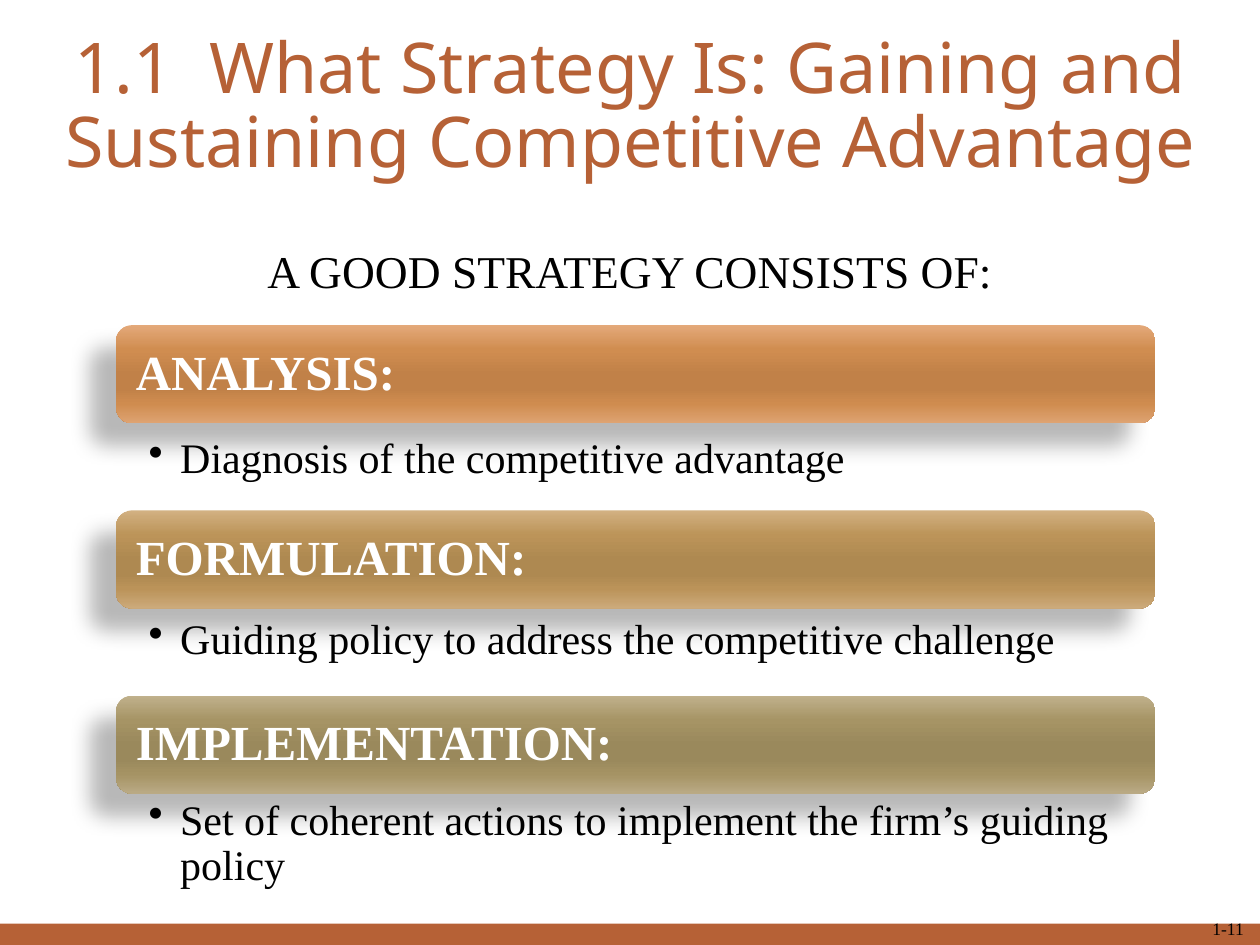
from dataclasses import dataclass

from lxml import etree
from pptx import Presentation
from pptx import util as u
from pptx.dml import color
from pptx.enum import shapes, text
from pptx.oxml import ns


@dataclass(frozen=True)
class Theme:
    accent: str = "B66136"
    ink: str = "000000"
    light: str = "FFFFFF"
    title_font: str = "Noto Sans"
    body_font: str = "Times New Roman"
    title: int = 40
    heading: int = 28
    lead: int = 26
    body: int = 24
    number: int = 10


T = Theme()
STOPS = (0, 25, 50, 65, 80, 100)
LEFT, WIDTH = 0.92, 8.25
SECTIONS = (
    ("ANALYSIS:", "Diagnosis of the competitive advantage",
     ("E4A97A", "D08D50", "C18148", "C18148", "CF8C4F", "DEA372")),
    ("FORMULATION:", "Guiding policy to address the competitive challenge",
     ("D2B182", "BC9459", "AE8951", "AE8951", "BB9359", "CCAA7B")),
    ("IMPLEMENTATION:", "Set of coherent actions to implement the firm’s guiding policy",
     ("C0B18C", "A69465", "9A895C", "9A895C", "A59364", "BAAA85")),
)


def rgb(value):
    return color.RGBColor.from_string(value)


def add_xml(parent, tag, **attrs):
    return etree.SubElement(parent, ns.qn(tag), {k: str(v) for k, v in attrs.items()})


def write(sp, content, size, font=T.body_font, ink=T.ink, bold=False,
          align=text.PP_ALIGN.LEFT, anchor=text.MSO_ANCHOR.TOP,
          spacing=1.0, insets=(0.1, 0.05, 0.1, 0.05)):
    tf = sp.text_frame
    tf.word_wrap = True
    tf.auto_size = text.MSO_AUTO_SIZE.NONE
    tf.vertical_anchor = anchor
    tf.margin_left, tf.margin_top, tf.margin_right, tf.margin_bottom = map(u.Inches, insets)
    p = tf.paragraphs[0]
    p.alignment, p.line_spacing = align, spacing
    r = p.add_run()
    r.text = content
    r.font.size, r.font.name, r.font.bold = u.Pt(size), font, bold
    r.font.color.rgb = rgb(ink)
    return p


def add_text(s, box, content, size, **fmt):
    return write(s.shapes.add_textbox(*map(u.Inches, box)), content, size, **fmt)


def add_bar(s, kind, box):
    sp = s.shapes.add_shape(kind, *map(u.Inches, box))
    sp.shadow.inherit = False
    sp.line.fill.background()
    return sp


def set_gradient(sp, colors):
    sp.fill.gradient()
    sp.fill.gradient_angle = 270
    stops = sp.element.spPr.find(".//" + ns.qn("a:gsLst"))
    for old in list(stops):
        stops.remove(old)
    for position, value in zip(STOPS, colors):
        add_xml(add_xml(stops, "a:gs", pos=position * 1000), "a:srgbClr", val=value)


def set_shadow(sp, alpha, blur, distance, angle):
    effects = sp.element.spPr.find(ns.qn("a:effectLst"))
    shadow = add_xml(effects, "a:outerShdw", blurRad=u.Pt(blur), dist=u.Pt(distance),
                     dir=angle * 60000, algn="ctr", rotWithShape=0)
    add_xml(add_xml(shadow, "a:srgbClr", val=T.ink), "a:alpha", val=alpha * 1000)


def add_heading(s, top, content, colors):
    sp = add_bar(s, shapes.MSO_SHAPE.ROUNDED_RECTANGLE, (LEFT, top, WIDTH, 0.78))
    set_gradient(sp, colors)
    set_shadow(sp, 28, 11.8, 19.7, 141)
    write(sp, content, T.heading, ink=T.light, bold=True, spacing=0.9,
          anchor=text.MSO_ANCHOR.MIDDLE, insets=(0.12,) * 4)


def add_bullet(s, top, content):
    p = add_text(s, (LEFT, top, WIDTH, 0.7), content, T.body, spacing=0.9,
                 insets=(0.26, 0.03, 0.19, 0.03))
    p.level = 1
    pPr = p._p.get_or_add_pPr()
    pPr.set("marL", str(u.Inches(0.25)))
    pPr.set("indent", str(u.Inches(-0.25)))
    add_xml(pPr, "a:buChar", char="•")


def add_footer(s):
    bar = add_bar(s, shapes.MSO_SHAPE.RECTANGLE, (0, 7.33, 10, 0.17))
    bar.fill.solid()
    bar.fill.fore_color.rgb = rgb(T.accent)
    add_text(s, (7.33, 7.12, 2.64, 0.38), "1-11", T.number,
             align=text.PP_ALIGN.RIGHT, anchor=text.MSO_ANCHOR.BOTTOM)


def add_title(s, content):
    sp = s.shapes.title
    sp.left, sp.top, sp.width, sp.height = map(u.Inches, (0, 0.17, 10, 1.38))
    write(sp, content, T.title, font=T.title_font, ink=T.accent, spacing=0.88,
          align=text.PP_ALIGN.CENTER, anchor=text.MSO_ANCHOR.MIDDLE)


def main():
    prs = Presentation()
    prs.slide_width, prs.slide_height = u.Inches(10), u.Inches(7.5)
    s = prs.slides.add_slide(prs.slide_layouts[5])
    add_footer(s)
    for i, (heading, bullet, colors) in enumerate(SECTIONS):
        add_heading(s, 2.58 + 1.47 * i, heading, colors)
        add_bullet(s, 3.44 + 1.435 * i, bullet)
    add_text(s, (0, 1.88, 10, 0.54), "A GOOD STRATEGY CONSISTS OF:", T.lead,
             align=text.PP_ALIGN.CENTER)
    add_title(s, "1.1  What Strategy Is: Gaining and Sustaining Competitive Advantage")
    prs.save("out.pptx")


if __name__ == "__main__":
    main()
